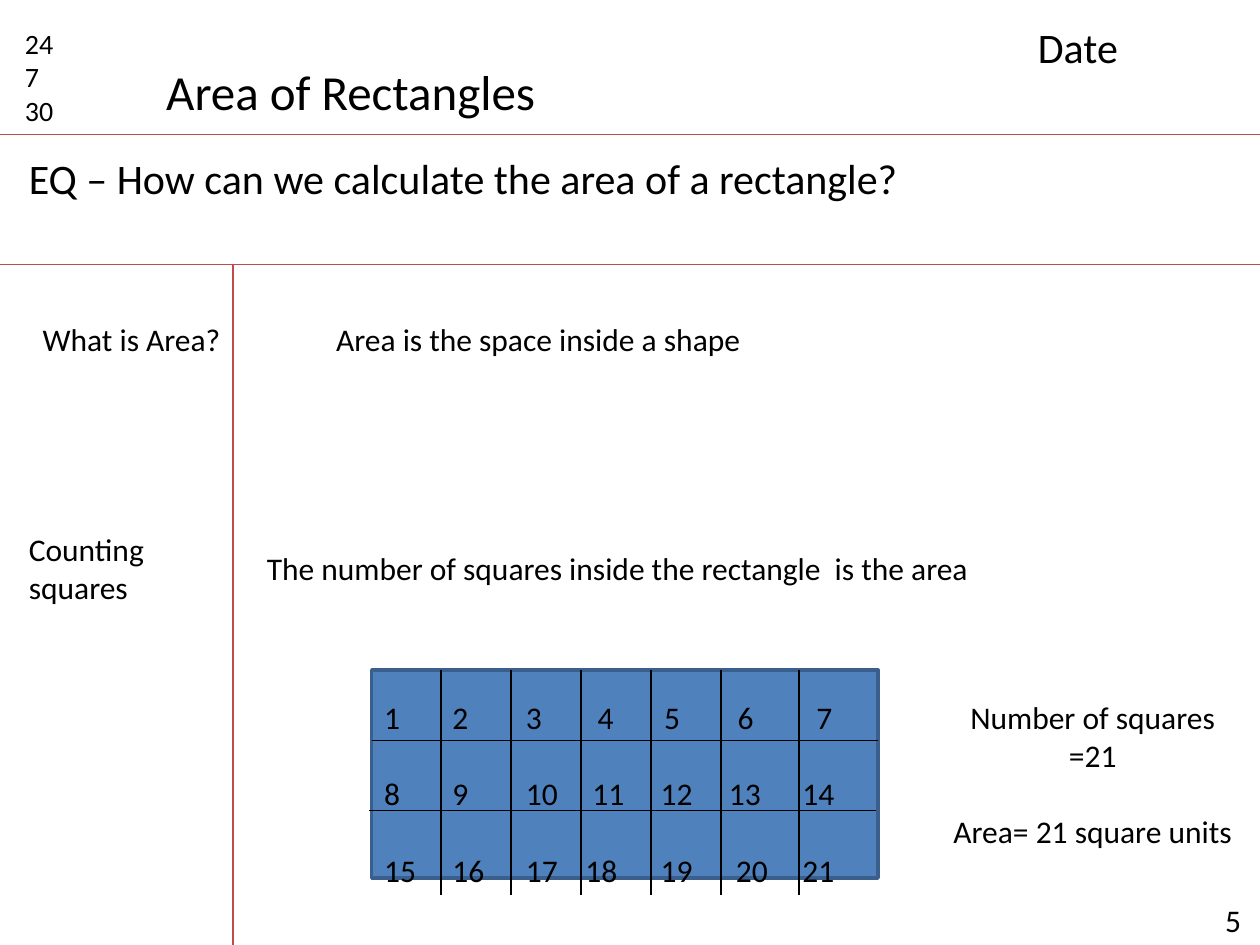
from dataclasses import dataclass
from lxml.etree import SubElement
from pptx import Presentation
from pptx.dml.color import RGBColor
from pptx.enum.shapes import MSO_CONNECTOR, MSO_SHAPE
from pptx.enum.text import MSO_ANCHOR, MSO_AUTO_SIZE, PP_ALIGN
from pptx.oxml.ns import qn
from pptx.util import Pt


@dataclass(frozen=True)
class Theme:
    font: str = "Calibri"
    ink: str = "000000"
    rule: str = "BF4C48"
    fill: str = "4F81BD"
    edge: str = "3A5F8C"
    title: int = 28
    head: int = 24
    body: int = 18
    small: int = 16
    gap: int = 22
    thin: float = 0.75
    thick: float = 2


class Page:
    """Draws on one slide; every length is in points."""

    def __init__(self, slide, theme):
        self.slide = slide
        self.theme = theme

    def put(self, shape, lines, size, align=PP_ALIGN.LEFT):
        """Set the lines as paragraphs of the shape."""
        frame = shape.text_frame
        frame.word_wrap = True
        frame.auto_size = MSO_AUTO_SIZE.NONE
        frame.vertical_anchor = MSO_ANCHOR.TOP
        for i, line in enumerate(lines):
            para = frame.add_paragraph() if i else frame.paragraphs[0]
            para.alignment = align
            run = para.add_run()
            run.text = line
            run.font.name = self.theme.font
            run.font.size = Pt(size)
            run.font.color.rgb = RGBColor.from_string(self.theme.ink)
        return frame.paragraphs

    def title(self, box, text):
        shape = self.slide.shapes.title
        shape.left, shape.top, shape.width, shape.height = map(Pt, box)
        self.put(shape, [text], self.theme.title)

    def text(self, box, lines, size, align=PP_ALIGN.LEFT):
        shape = self.slide.shapes.add_textbox(*map(Pt, box))
        return self.put(shape, lines, size, align)

    def line(self, start, end, color):
        line = self.slide.shapes.add_connector(
            MSO_CONNECTOR.STRAIGHT, *map(Pt, start + end))
        line.line.color.rgb = RGBColor.from_string(color)
        line.line.width = Pt(self.theme.thin)
        SubElement(line._element.spPr, qn("a:effectLst"))

    def rect(self, box):
        shape = self.slide.shapes.add_shape(MSO_SHAPE.RECTANGLE, *map(Pt, box))
        shape.shadow.inherit = False
        shape.fill.solid()
        shape.fill.fore_color.rgb = RGBColor.from_string(self.theme.fill)
        shape.line.color.rgb = RGBColor.from_string(self.theme.edge)
        shape.line.width = Pt(self.theme.thick)

    def count(self, box, rows):
        """Number the squares from 1 on; each row lists its tab stops."""
        span = len(rows[0]) + 1
        lines = ["\t".join(str(row * span + col + 1) for col in range(span))
                 for row in range(len(rows))]
        paras = self.text(box, lines, self.theme.body)
        for i, (para, stops) in enumerate(zip(paras, rows)):
            tabs = SubElement(para._p.get_or_add_pPr(), qn("a:tabLst"))
            for stop in stops:
                SubElement(tabs, qn("a:tab"), pos=str(Pt(stop)), algn="l")
            if i:
                para.space_before = Pt(self.theme.gap)


def main():
    theme = Theme()
    deck = Presentation()
    wide, high = 720, 540
    deck.slide_width, deck.slide_height = Pt(wide), Pt(high)
    page = Page(deck.slides.add_slide(deck.slide_layouts[5]), theme)

    top, mid, side = 77, 151.2, 133.2
    for y in (top, mid):
        page.line((0, y), (wide, y), theme.rule)
    page.line((side, mid), (side, high), theme.rule)

    page.title((87.8, 31.7, 235, 41), "Area of Rectangles")
    page.text((7.2, 11.5, 45.4, 65.5), ["24", "7", "30"], theme.small)
    page.text((586, 8.6, 124.6, 36), ["Date"], theme.head)
    page.text((9.4, 83.5, 679, 36),
              ["EQ – How can we calculate the area of a rectangle?"], theme.head)
    for box, line in (
        ((17.3, 179.3, 118, 29), "What is Area?"),
        ((185, 179.3, 294.5, 29), "Area is the space inside a shape"),
        ((9.4, 299.5, 103, 51), "Counting squares"),
        ((145.4, 310.3, 421, 29),
         "The number of squares inside the rectangle  is the area"),
        ((693, 511.2, 27, 28), "5"),
    ):
        page.text(box, [line], theme.body)

    left, crest, width, height = 212.4, 383, 289.4, 118.8
    page.rect((left, crest, width, height))
    for x in [252 + 40 * i for i in range(5)] + [456.5]:
        page.line((x, crest), (x, 511.2), theme.ink)
    for x, y in ((left, 423.2), (left - 1.4, 463)):
        page.line((x, y), (x + width, y), theme.ink)
    page.count((left, 395.3, 312, 117), (
        (39, 81, 122, 160, 202, 247),
        (39, 81, 119, 158, 197, 239),
        (39, 81, 115, 158, 201, 239),
    ))

    paras = page.text((535.4, 395.3, 178, 94),
                      ["Number of squares", "=21", "Area= 21 square units"],
                      theme.body, PP_ALIGN.CENTER)
    paras[-1].space_before = Pt(theme.gap)
    deck.save("out.pptx")


if __name__ == "__main__":
    main()
